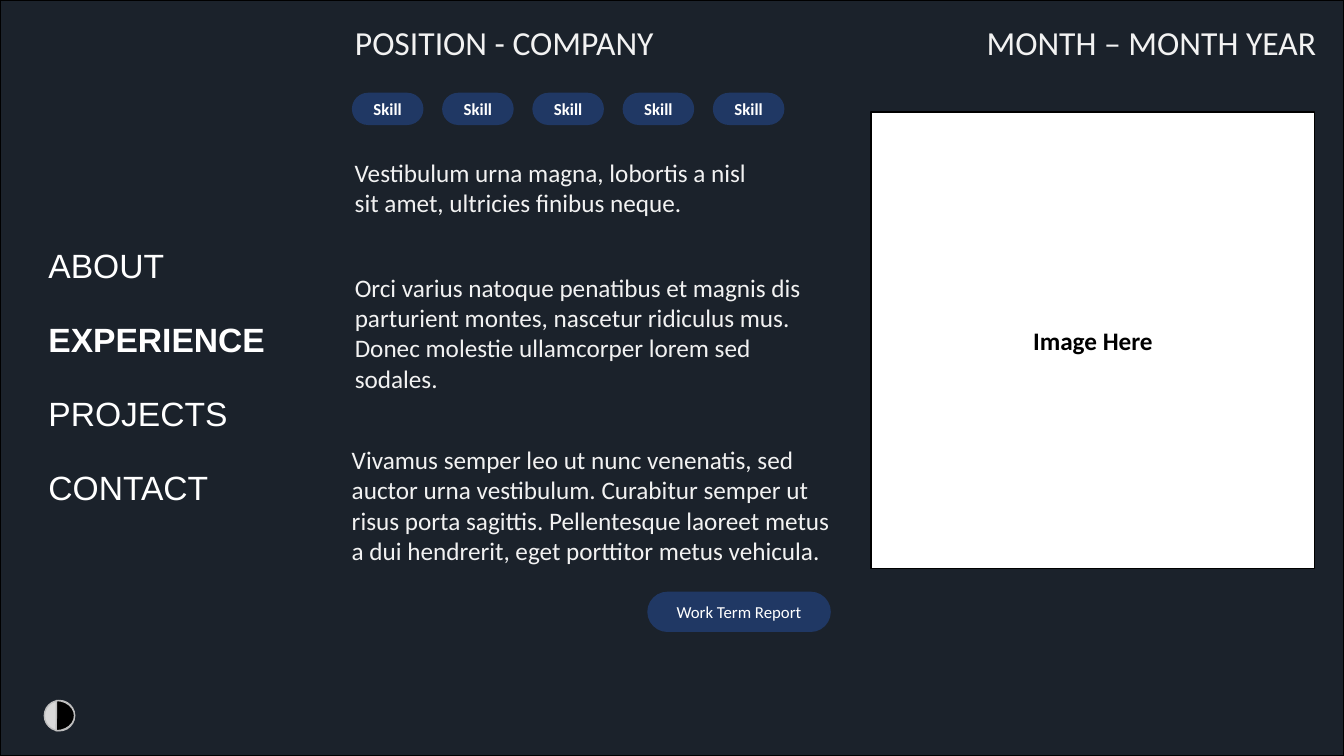
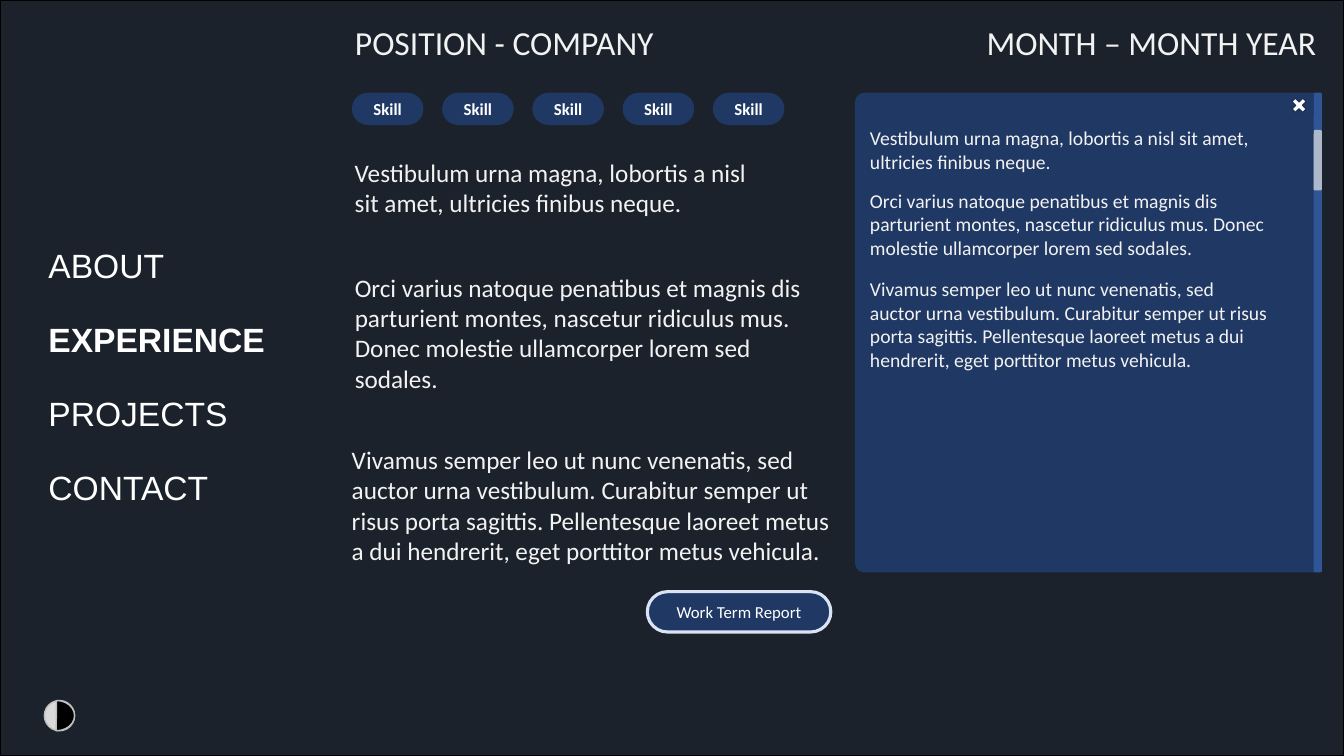
from pptx import Presentation
from pptx.dml.color import RGBColor
from pptx.enum.shapes import MSO_SHAPE
from pptx.enum.text import MSO_ANCHOR, MSO_AUTO_SIZE, PP_ALIGN
from pptx.util import Inches, Pt
from lxml import etree

RECT, ROUND, OVAL = MSO_SHAPE.RECTANGLE, MSO_SHAPE.ROUNDED_RECTANGLE, MSO_SHAPE.OVAL
PIE, CROSS = MSO_SHAPE.PIE, MSO_SHAPE.MATH_MULTIPLY
LEFT, CENTER = PP_ALIGN.LEFT, PP_ALIGN.CENTER
TOP, MIDDLE = MSO_ANCHOR.TOP, MSO_ANCHOR.MIDDLE
NO_FIT = MSO_AUTO_SIZE.NONE
A_NS = "{http://schemas.openxmlformats.org/drawingml/2006/main}"

# Content
TITLE = "POSITION - COMPANY"
DATES = "MONTH – MONTH YEAR"
MENU = ["ABOUT", "EXPERIENCE", "PROJECTS", "CONTACT"]
ACTIVE = "EXPERIENCE"
SKILLS = ["Skill"] * 5
REPORT = "Work Term Report"
IMAGE = "Image Here"
STORY = [
    "Vestibulum urna magna, lobortis a nisl sit amet, ultricies finibus neque.",
    "Orci varius natoque penatibus et magnis dis parturient montes, nascetur "
    "ridiculus mus. Donec molestie ullamcorper lorem sed sodales.",
    "Vivamus semper leo ut nunc venenatis, sed auctor urna vestibulum. "
    "Curabitur semper ut risus porta sagittis. Pellentesque laoreet metus "
    "a dui hendrerit, eget porttitor metus vehicula.",
]

# Style and places (left, top, width, height)
COLORS = {
    "back": "1B222B", "black": "000000", "white": "FFFFFF", "text": "F2F2F2",
    "navy": "203864", "blue": "2F5597", "thumb": "ADB9CA", "glow": "DAE3F3",
    "edge": "1E3256", "light": "D9D9D9", "gray": "BFBFBF",
}
WIDE, HIGH = 13.33, 7.5
STORY_AT = [(3.42, 1.51, 4.2, 0.71), (3.42, 2.65, 4.82, 1.31), (3.39, 4.36, 5.09, 1.31)]
POPUP_AT = [(8.53, 1.2, 4.15, 0.51), (8.53, 1.82, 4.15, 0.72), (8.53, 2.7, 4.15, 0.93)]
SKILL_X, SKILL_END = 3.49, 7.07
PANEL_Y, PANEL_H = 0.92, 4.76
BAR_X, BAR_W = 13.03, 0.08


def color(name):
    return RGBColor.from_string(COLORS[name])


def place(shape, at):
    shape.left, shape.top, shape.width, shape.height = map(Inches, at)


def style(par, size, tint, bold=False, align=LEFT, face="Calibri"):
    par.alignment = align
    font = par.font
    font.name, font.size, font.bold = face, Pt(size), bold
    font.color.rgb = color(tint)


def add_text(slide, text, at, size, align=LEFT):
    box = slide.shapes.add_textbox(*map(Inches, at))
    box.text_frame.word_wrap = True
    box.text_frame.text = text
    style(box.text_frame.paragraphs[0], size, "text", align=align)


def add_form(slide, kind, at, fill, line=None, width=1, adjust=()):
    form = slide.shapes.add_shape(kind, *map(Inches, at))
    form.shadow.inherit = False
    form.fill.solid()
    form.fill.fore_color.rgb = color(fill)
    if line:
        form.line.color.rgb = color(line)
        form.line.width = Pt(width)
    else:
        form.line.fill.background()
    for i, value in enumerate(adjust):
        form.adjustments[i] = value
    return form


def label(form, text, size, tint="white", bold=False):
    frame = form.text_frame
    frame.text, frame.vertical_anchor = text, MIDDLE
    style(frame.paragraphs[0], size, tint, bold, CENTER)


def add_base(deck):
    slide = deck.slides.add_slide(deck.slide_layouts[1])
    back = add_form(slide, RECT, (0, 0, WIDE, HIGH), "back", "black")
    slide.shapes.title.element.addprevious(back.element)

    # Title and dates
    title = slide.shapes.title
    place(title, (3.42, 0.17, 3.25, 0.5))
    frame = title.text_frame
    frame.text, frame.vertical_anchor, frame.auto_size = TITLE, TOP, NO_FIT
    style(frame.paragraphs[0], 24, "text")
    add_text(slide, DATES, (9.67, 0.17, 3.5, 0.5), 24, CENTER)

    # Menu
    menu = slide.placeholders[1]
    place(menu, (0.38, 2.38, 2.4, 2.65))
    frame = menu.text_frame
    frame.text, frame.auto_size = "\n".join(MENU), NO_FIT
    for par in frame.paragraphs:
        style(par, 24, "white", par.text == ACTIVE, face="Arial")
        par.space_before, par.space_after = Pt(0), Pt(24)
        props = par.font._element.getparent()
        props.set("marL", "0")
        props.set("indent", "0")
        props.insert_element_before(
            etree.SubElement(props, A_NS + "buNone"), "a:tabLst", "a:defRPr", "a:extLst")

    # Story and skills
    for text, at in zip(STORY, STORY_AT):
        add_text(slide, text, at, 18)
    step = (SKILL_END - SKILL_X) / (len(SKILLS) - 1)
    for i, skill in enumerate(SKILLS):
        pill = add_form(slide, ROUND, (SKILL_X + i * step, 0.92, 0.71, 0.32),
                        "navy", adjust=[0.5])
        label(pill, skill, 12, bold=True)

    # Contrast switch
    add_form(slide, OVAL, (0.44, 6.95, 0.3, 0.3), "light", "gray")
    half = add_form(slide, PIE, (0.38, 6.95, 0.36, 0.3), "black", "gray",
                    adjust=[53.21, 162])
    half.element.spPr.xfrm.set("flipH", "1")
    return slide


def add_report(slide, line=None):
    button = add_form(slide, ROUND, (6.42, 5.87, 1.82, 0.4), "navy", line, 2.25, [0.5])
    label(button, REPORT, 12)


deck = Presentation()
deck.slide_width, deck.slide_height = Inches(WIDE), Inches(HIGH)

# Slide 1: image frame
slide = add_base(deck)
add_report(slide)
photo = add_form(slide, RECT, (8.64, 1.11, 4.4, 4.53), "white", "black")
label(photo, IMAGE, 18, "black", True)

# Slide 2: open report with scroll bar
slide = add_base(deck)
add_report(slide, "glow")
add_form(slide, ROUND, (8.48, PANEL_Y, 4.63, PANEL_H), "navy", adjust=[0.02])
add_form(slide, ROUND, (BAR_X, PANEL_Y, BAR_W, PANEL_H), "blue")
add_form(slide, ROUND, (BAR_X, 1.29, BAR_W, 0.6), "thumb")
add_form(slide, CROSS, (12.78, 0.94, 0.21, 0.21), "white", "edge")
for text, at in zip(STORY, POPUP_AT):
    add_text(slide, text, at, 14)

deck.save("out.pptx")
